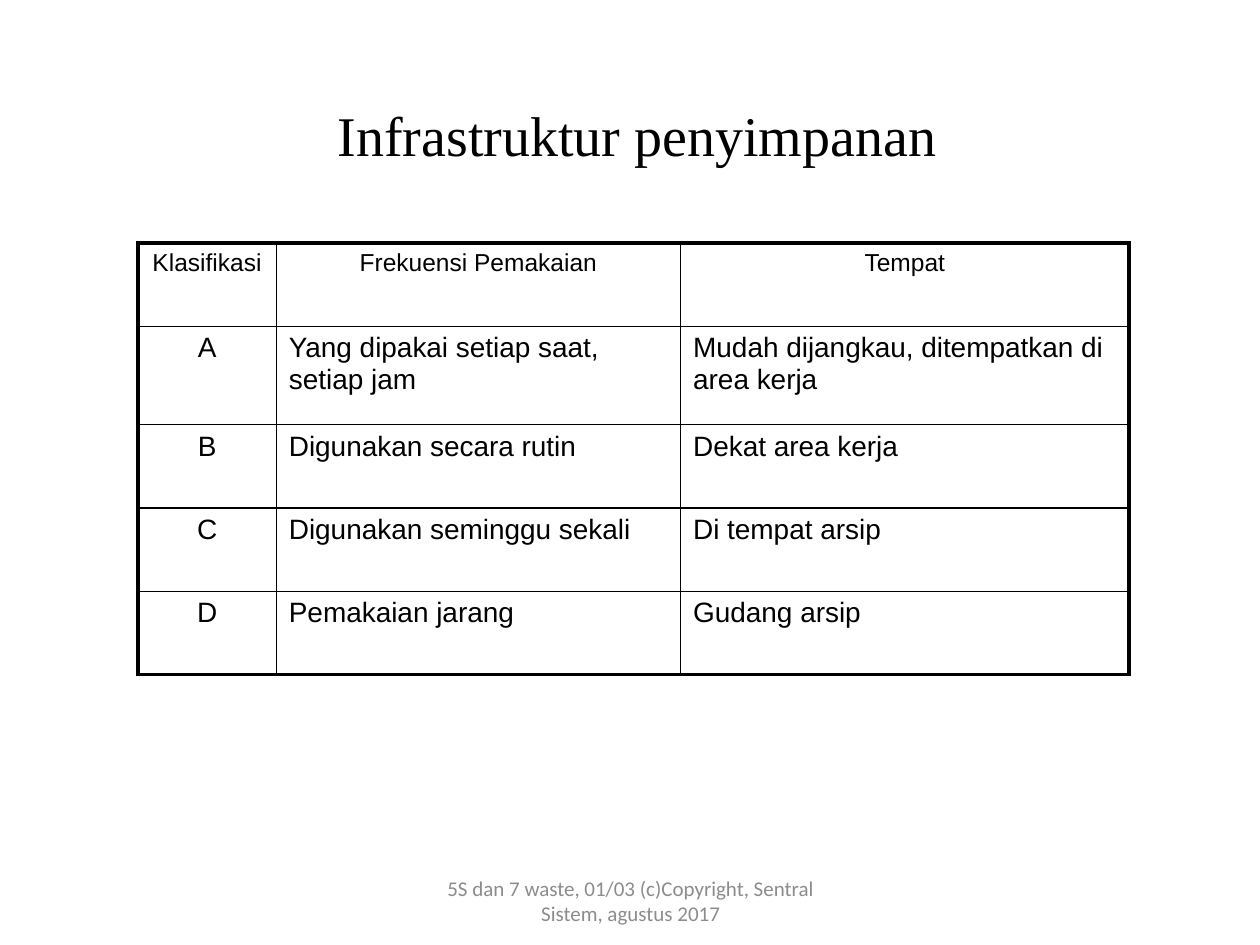
from lxml.etree import SubElement
from pptx import Presentation
from pptx.dml.color import RGBColor
from pptx.enum.text import MSO_ANCHOR, PP_ALIGN
from pptx.oxml.ns import qn
from pptx.util import Cm, Pt

BLACK = "000000"
GREY = "8C8C8C"


def format_text(paragraph, text, size, font_name, color, alignment):
    paragraph.text = text
    paragraph.alignment = alignment
    font_values = {"size": Pt(size), "name": font_name}
    for name, value in font_values.items():
        setattr(paragraph.font, name, value)
    paragraph.font.color.rgb = RGBColor.from_string(color)


def add_border(cell, side, position, width):
    """Draw one black cell border; position keeps the XML order L, R, T, B."""
    properties = cell._tc.get_or_add_tcPr()
    line = SubElement(properties, qn(f"a:ln{side}"), w=str(Pt(width)))
    fill = SubElement(line, qn("a:solidFill"))
    SubElement(fill, qn("a:srgbClr"), val=BLACK)
    properties.insert(position, line)


presentation = Presentation()
presentation.slide_width = Cm(25.4)
presentation.slide_height = Cm(19.05)
slide = presentation.slides.add_slide(presentation.slide_layouts[6])

# Title
title = slide.shapes.add_textbox(Cm(6.5), Cm(1.9), Cm(12.7), Cm(1.63))
title.text_frame.word_wrap = False
format_text(title.text_frame.paragraphs[0], "Infrastruktur penyimpanan",
            32, "Times New Roman", BLACK, PP_ALIGN.CENTER)

# Storage table
rows = [
    ("Klasifikasi", "Frekuensi Pemakaian", "Tempat"),
    ("A", "Yang dipakai setiap saat, setiap jam",
     "Mudah dijangkau, ditempatkan di area kerja"),
    ("B", "Digunakan secara rutin", "Dekat area kerja"),
    ("C", "Digunakan seminggu sekali", "Di tempat arsip"),
    ("D", "Pemakaian jarang", "Gudang arsip"),
]
column_widths = [2.79, 8.15, 9.04]
row_heights = [1.68, 1.98, 1.68, 1.68, 1.68]
last_row, last_column = len(rows) - 1, len(column_widths) - 1

table = slide.shapes.add_table(
    len(rows), len(column_widths), Cm(2.78), Cm(4.9),
    Cm(sum(column_widths)), Cm(sum(row_heights))).table
table.first_row = False
table.horz_banding = False
for column, width in zip(table.columns, column_widths):
    column.width = Cm(width)
for row, height in zip(table.rows, row_heights):
    row.height = Cm(height)

for row_index, texts in enumerate(rows):
    for column_index, text in enumerate(texts):
        cell = table.cell(row_index, column_index)
        is_header = row_index == 0
        is_centered = is_header or column_index == 0
        format_text(cell.text_frame.paragraphs[0], text,
                    14 if is_header else 16, "Arial", BLACK,
                    PP_ALIGN.CENTER if is_centered else PP_ALIGN.LEFT)
        cell.fill.background()
        outer_sides = {
            "L": column_index == 0,
            "R": column_index == last_column,
            "T": is_header,
            "B": row_index == last_row,
        }
        for position, (side, is_outer) in enumerate(outer_sides.items()):
            add_border(cell, side, position, 2.25 if is_outer else 1)

# Footer
footer = slide.shapes.add_textbox(Cm(8.69), Cm(17.65), Cm(8.05), Cm(1.02))
footer.text_frame.word_wrap = True
footer.text_frame.vertical_anchor = MSO_ANCHOR.MIDDLE
format_text(footer.text_frame.paragraphs[0],
            "5S dan 7 waste, 01/03 (c)Copyright, Sentral Sistem, agustus 2017",
            12, "Calibri", GREY, PP_ALIGN.CENTER)

presentation.save("out.pptx")
